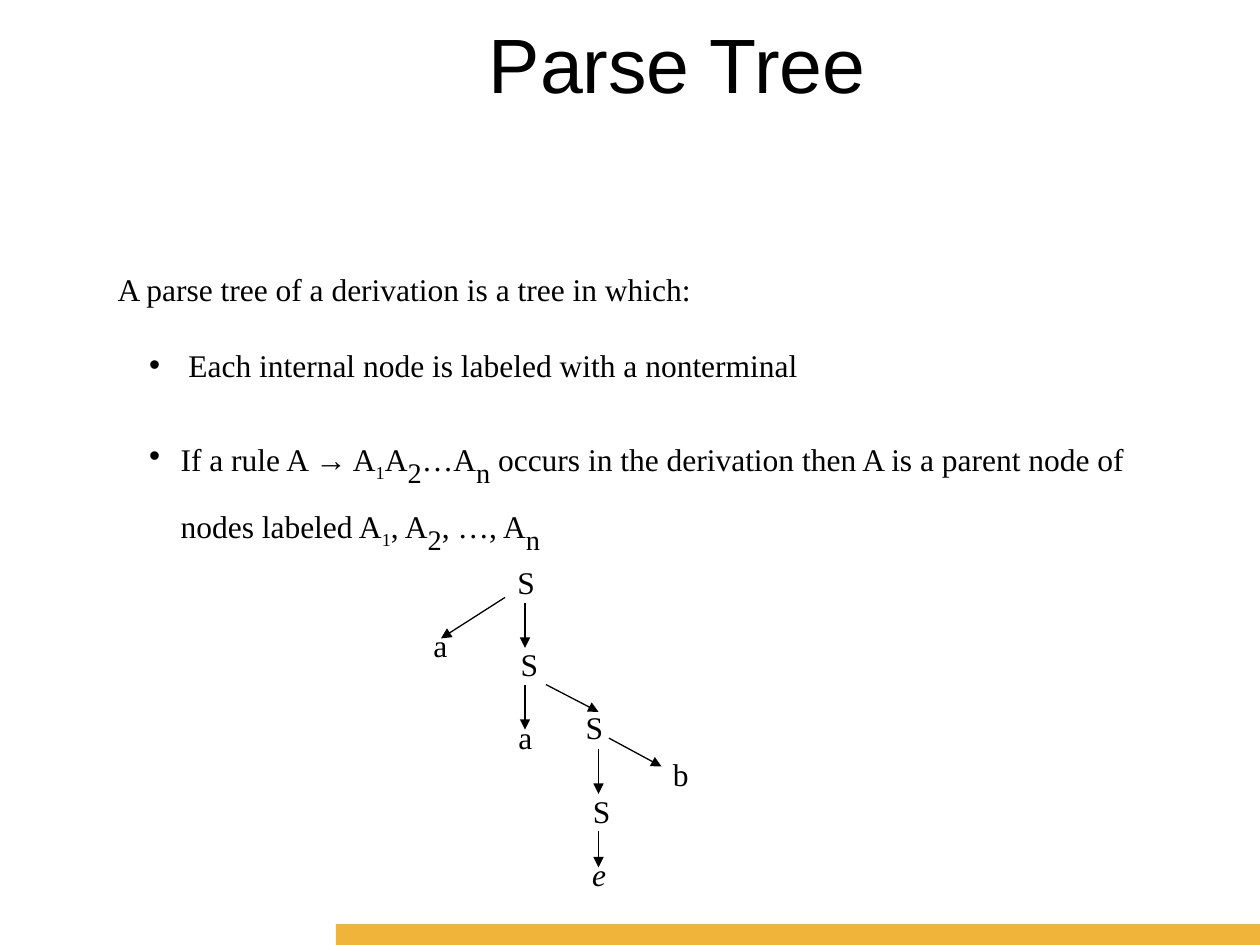
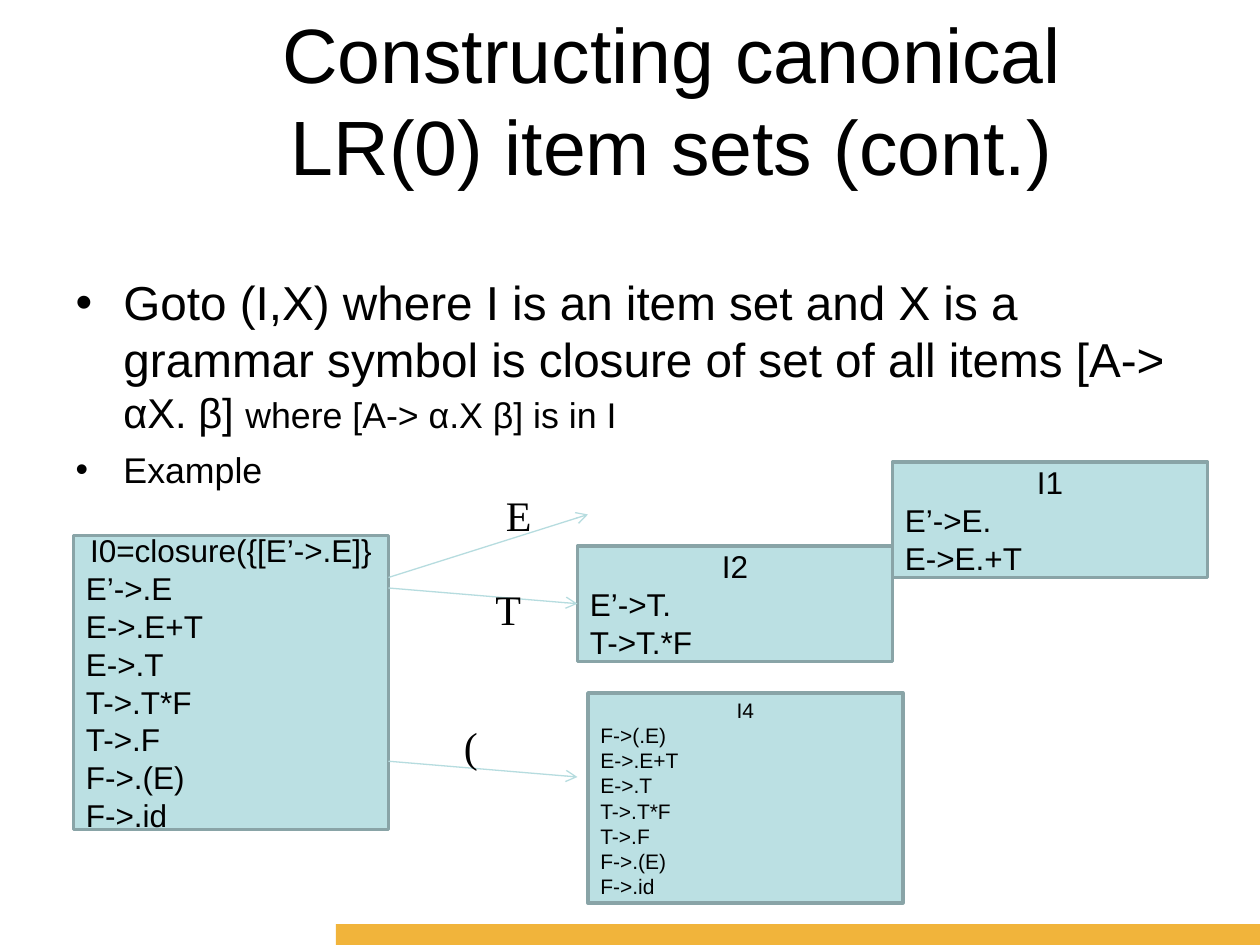
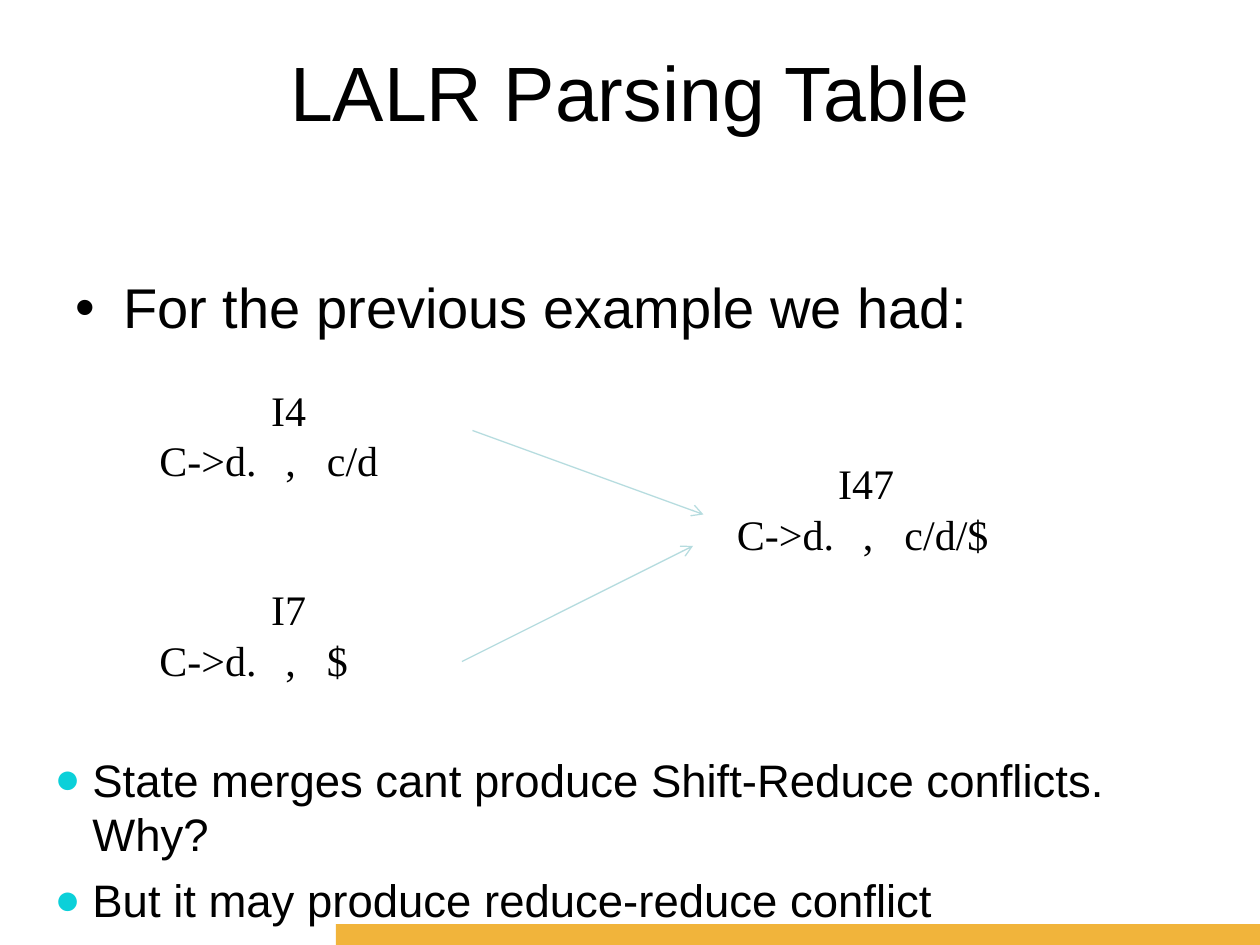
from lxml import etree
from pptx import Presentation
from pptx.dml.color import RGBColor
from pptx.enum.shapes import MSO_CONNECTOR, MSO_SHAPE
from pptx.enum.text import MSO_ANCHOR, MSO_AUTO_SIZE, PP_ALIGN
from pptx.oxml.ns import qn
from pptx.util import Inches, Pt

BLACK = RGBColor(0x00, 0x00, 0x00)
GOLD = RGBColor(0xF1, 0xB4, 0x3B)
PALE_TEAL = RGBColor(0xBB, 0xE0, 0xE3)
TEAL_BORDER = RGBColor(0x89, 0xA4, 0xA7)
TEAL_LINE = RGBColor(0xB6, 0xDC, 0xDF)
CYAN = RGBColor(0x0B, 0xD0, 0xD9)

SANS, SERIF = "Arial", "Times New Roman"
LEFT, CENTER = PP_ALIGN.LEFT, PP_ALIGN.CENTER
TOP, MIDDLE = MSO_ANCHOR.TOP, MSO_ANCHOR.MIDDLE
NO_FIT, GROW = MSO_AUTO_SIZE.NONE, MSO_AUTO_SIZE.SHAPE_TO_FIT_TEXT
RECTANGLE, STRAIGHT = MSO_SHAPE.RECTANGLE, MSO_CONNECTOR.STRAIGHT
TITLE_AND_BODY, TITLE_AND_TWO_BODIES = 1, 3
LEFT_SIDE = 1
CELLS_PER_INCH = 12
SUBSCRIPT = "-25000"


def cells(*counts):
    """Turn counts of grid cells into lengths."""
    return [Inches(count / CELLS_PER_INCH) for count in counts]


def place(shape, at):
    """Move a shape to left, top, width and height in grid cells."""
    shape.left, shape.top, shape.width, shape.height = cells(*at)


def set_indent(para, margin, hanging):
    """Set the left margin and hanging indent in inches."""
    properties = para._p.get_or_add_pPr()
    properties.set("marL", str(Inches(margin)))
    properties.set("indent", str(-Inches(hanging)))
    return properties


def set_bullet(para, margin, hanging, char="•", color=BLACK, percent=100):
    """Give a paragraph a hanging bullet."""
    properties = set_indent(para, margin, hanging)
    holder = etree.SubElement(properties, qn("a:buClr"))
    etree.SubElement(holder, qn("a:srgbClr"), val=str(color))
    etree.SubElement(properties, qn("a:buSzPct"), val=str(percent * 1000))
    etree.SubElement(properties, qn("a:buFont"), typeface=SANS)
    etree.SubElement(properties, qn("a:buChar"), char=char)


def set_plain(para):
    """Remove the bullet and indent that a paragraph inherits."""
    etree.SubElement(set_indent(para, 0, 0), qn("a:buNone"))


def set_tabs(para, *stops):
    """Add left tab stops given in inches."""
    tabs = etree.SubElement(para._p.get_or_add_pPr(), qn("a:tabLst"))
    for stop in stops:
        etree.SubElement(tabs, qn("a:tab"), pos=str(Inches(stop)), algn="l")


def set_font(para, size, name):
    """Set the black font of a paragraph."""
    para.font.size = Pt(size)
    para.font.name = name
    para.font.color.rgb = BLACK


def add_span(para, text, size=None, name=None, subscript=False):
    """Add a run that differs from its paragraph only where asked."""
    span = para.add_run()
    span.text = text
    if size:
        span.font.size = Pt(size)
    if name:
        span.font.name = name
    if subscript:
        span._r.get_or_add_rPr().set("baseline", SUBSCRIPT)


def next_para(frame, index):
    """Return the first paragraph of a frame or a new one."""
    return frame.add_paragraph() if index else frame.paragraphs[0]


def new_page(deck, layout, title, at):
    """Add a page with its title placed on the grid."""
    page = deck.slides.add_slide(deck.slide_layouts[layout])
    place(page.shapes.title, at)
    frame = page.shapes.title.text_frame
    frame.auto_size, frame.vertical_anchor = NO_FIT, TOP
    para = frame.paragraphs[0]
    para.text, para.alignment = title, CENTER
    set_font(para, 44, SANS)
    return page


def body_frame(page, index, at):
    """Place a body placeholder and return its text frame."""
    body = page.placeholders[index]
    place(body, at)
    frame = body.text_frame
    frame.auto_size, frame.vertical_anchor = NO_FIT, TOP
    return frame


def fill_bullets(frame, items, size, gap, **bullet):
    """Write bulleted paragraphs, each a list of spans."""
    for index, spans in enumerate(items):
        para = next_para(frame, index)
        para.space_before = Pt(gap if index else 0)
        set_bullet(para, **bullet)
        set_font(para, size, SANS)
        for span in spans:
            add_span(para, *span)


def add_label(page, text, at, size, italic=False):
    """Add a one-line serif label."""
    box = page.shapes.add_textbox(*cells(*at))
    frame = box.text_frame
    frame.word_wrap, frame.auto_size = False, GROW
    para = frame.paragraphs[0]
    para.text = text
    set_font(para, size, SERIF)
    if italic:
        para.font.italic = True


def add_arrow(page, start, end, color, head, target=None):
    """Draw an arrow, joined to the target's left side if there is one."""
    arrow = page.shapes.add_connector(STRAIGHT, *cells(*start, *end))
    if target is not None:
        arrow.end_connect(target, LEFT_SIDE)
    arrow.line.color.rgb, arrow.line.width = color, Pt(0.75)
    etree.SubElement(arrow.line._get_or_add_ln(), qn("a:tailEnd"), type=head)
    etree.SubElement(arrow._element.spPr, qn("a:effectLst"))


def add_item_set(page, heading, rules, at, size=18):
    """Add a box with a centred heading above grammar rules."""
    box = page.shapes.add_shape(RECTANGLE, *cells(*at))
    box.shadow.inherit = False
    box.fill.solid()
    box.fill.fore_color.rgb = PALE_TEAL
    box.line.color.rgb, box.line.width = TEAL_BORDER, Pt(2)
    frame = box.text_frame
    frame.word_wrap, frame.vertical_anchor = True, MIDDLE
    for index, text in enumerate([heading, *rules]):
        para = next_para(frame, index)
        para.text = text
        para.alignment = LEFT if index else CENTER
        set_font(para, size, SANS)
    return box


def add_state(page, name, lookahead, left, top):
    """Add a state name above its item and lookahead."""
    box = page.shapes.add_textbox(*cells(left, top, 27, 15.6))
    frame = box.text_frame
    frame.word_wrap = True
    for index, text in enumerate([name, f"C->d.\t,\t{lookahead}"]):
        para = next_para(frame, index)
        para.text = text
        para.alignment = LEFT if index else CENTER
        if index:
            set_tabs(para, 1, 1.33)
        set_font(para, 24, SERIF)


def add_band(deck, page):
    """Put the gold footer band on the slide master."""
    band = page.shapes.add_shape(RECTANGLE, *cells(32, 88, 88, 2))
    band.shadow.inherit = False
    band.fill.solid()
    band.fill.fore_color.rgb = GOLD
    band.line.fill.background()
    deck.slide_master.shapes._spTree.append(band._element)


def build_parse_tree(deck):
    """Build the page that defines a parse tree."""
    page = new_page(deck, TITLE_AND_BODY, "Parse Tree", (18, 1, 93, 15))
    frame = body_frame(page, 1, (10, 25.1, 105.2, 28.3))
    subscripted = [("A",), ("1", None, None, True), ("A",), ("2", 28, None, True),
                   ("…A",), ("n", 28, None, True)]
    listed = [("A",), ("1", None, None, True), (", A",), ("2", 28, None, True),
              (", …, A",), ("n", 28, None, True)]
    paragraphs = [
        [("A parse tree of a derivation is a tree in which:",)],
        [(" Each internal node is labeled with a nonterminal",)],
        [("If a rule A ",), ("→", None, SANS), (" ",), *subscripted,
         (" occurs in the derivation then A is a parent node of nodes labeled ",),
         *listed],
    ]
    for index, spans in enumerate(paragraphs):
        para = next_para(frame, index)
        para.space_before = Pt(22 if index else 0)
        if index:
            set_bullet(para, 0.5, 0.25)
        else:
            set_plain(para)
        set_font(para, 18, SERIF)
        for span in spans:
            add_span(para, *span)

    nodes = [("S", 48.1, 53, 4.1), ("a", 40.1, 59, 3.7), ("S", 48.4, 60.8, 4.1),
             ("a", 48.2, 67.8, 3.7), ("S", 54.6, 66.8, 4.1), ("S", 55.3, 74.8, 4.1),
             ("e", 55.2, 80.8, 3.7), ("b", 62.9, 71.3, 3.8)]
    for text, left, top, width in nodes:
        add_label(page, text, (left, top, width, 4.8), 18, italic=text == "e")
    branches = [((48.1, 56.9), (42, 60.8)), ((50, 57.4), (50, 61.7)),
                ((50, 65.2), (50, 69.5)), ((52, 65.2), (57, 67.8)),
                ((57, 71.3), (57, 75.6)), ((57, 79.1), (57, 82.6)),
                ((58, 70.3), (63, 73))]
    for start, end in branches:
        add_arrow(page, start, end, BLACK, "triangle")
    return page


def build_item_sets(deck):
    """Build the page on the Goto function and its item sets."""
    page = new_page(deck, TITLE_AND_BODY,
                    "Constructing canonical LR(0) item sets (cont.)", (16, 0, 96, 11))
    goto = [("Goto (I,X) where I is an item set and X is a grammar symbol "
             "is closure of set of all items [A->", 27.2),
            (" αX. β] ", 23.8), ("where [A-> α.X β] is in I",)]
    fill_bullets(body_frame(page, 1, (6, 25.4, 108, 22.6)), [goto, [("Example",)]],
                 20.4, 6, margin=0.38, hanging=0.38)

    closure = ["E->.E+T", "E->.T", "T->.T*F", "T->.F", "F->.(E)", "F->.id"]
    add_item_set(page, "I0=closure({[E’->.E]}", ["E’->.E", *closure], (7, 51, 30, 28))
    add_item_set(page, "I1", ["E’->E.", "E->E.+T"], (85, 44, 30, 11))
    after_term = add_item_set(page, "I2", ["E’->T.", "T->T.*F"], (55, 52, 30, 11))
    add_item_set(page, "I4", ["F->(.E)", *closure], (56, 66, 30, 20), size=12)

    add_arrow(page, (37, 55), (56, 49), TEAL_LINE, "arrow")
    add_arrow(page, (37, 56), (55, 57.5), TEAL_LINE, "arrow", after_term)
    add_arrow(page, (37, 72.5), (55, 74), TEAL_LINE, "arrow")
    for text, left, top, width in [("E", 47, 46, 4.8), ("T", 46, 55, 4.8),
                                   ("(", 43, 68, 3.7)]:
        add_label(page, text, (left, top, width, 6), 24)


def build_lalr_table(deck):
    """Build the page on merging LALR states."""
    page = new_page(deck, TITLE_AND_TWO_BODIES, "LALR Parsing Table",
                    (6, 3.6, 108, 15))
    fill_bullets(body_frame(page, 1, (6, 25.4, 108, 14.6)),
                 [[("For the previous example we had:",)]],
                 32, 8, margin=0.38, hanging=0.38)
    for state in [("I4", "c/d", 14, 36), ("I7", "$", 14, 55), ("I47", "c/d/$", 69, 43)]:
        add_state(page, *state)
    add_arrow(page, (45, 41), (67, 49), TEAL_LINE, "arrow")
    add_arrow(page, (44, 63), (66, 52), TEAL_LINE, "arrow")
    fill_bullets(body_frame(page, 2, (4, 71, 108, 14.6)),
                 [[("State merges cant produce Shift-Reduce conflicts. Why?",)],
                  [("But it may produce reduce-reduce conflict",)]],
                 26, 6.5, margin=0.3, hanging=0.3, char="●", color=CYAN, percent=95)


def main():
    """Build the deck and save it."""
    deck = Presentation()
    deck.slide_width, deck.slide_height = Inches(10), Inches(7.5)
    first_page = build_parse_tree(deck)
    add_band(deck, first_page)
    build_item_sets(deck)
    build_lalr_table(deck)
    deck.save("out.pptx")


if __name__ == "__main__":
    main()
